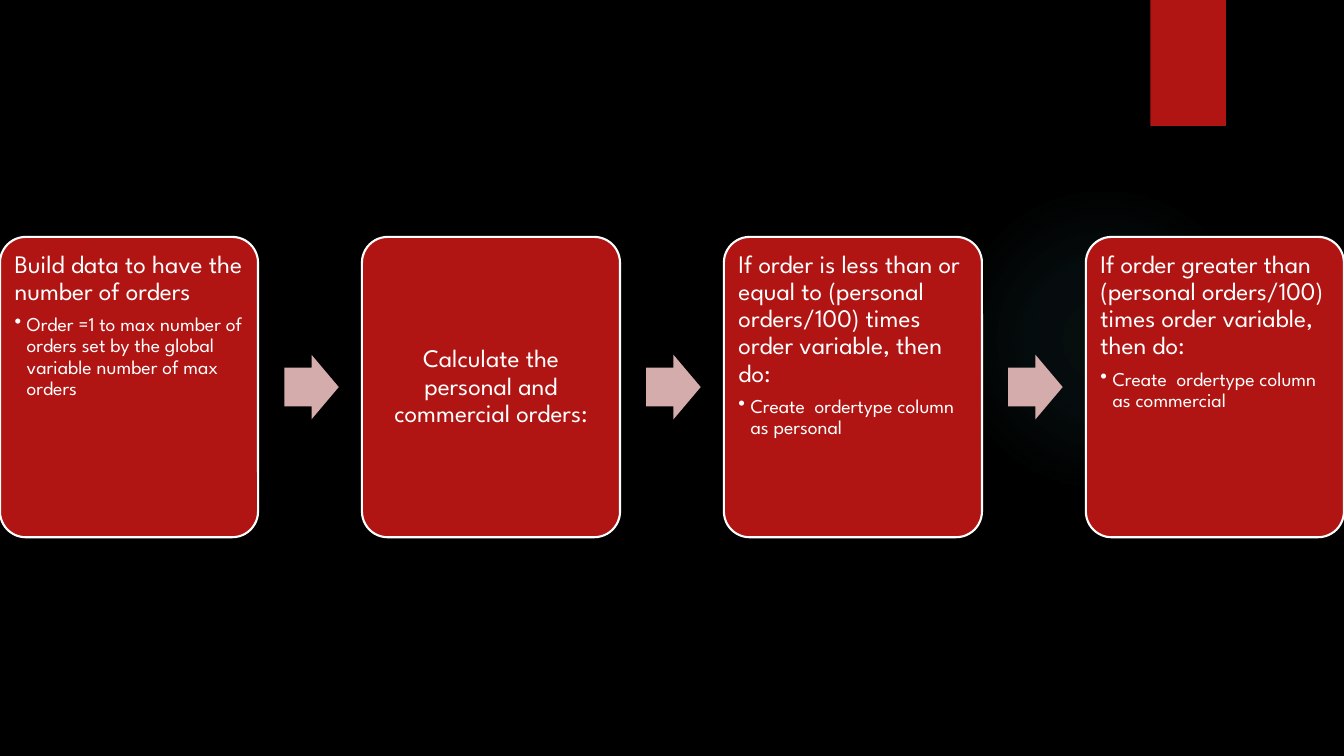
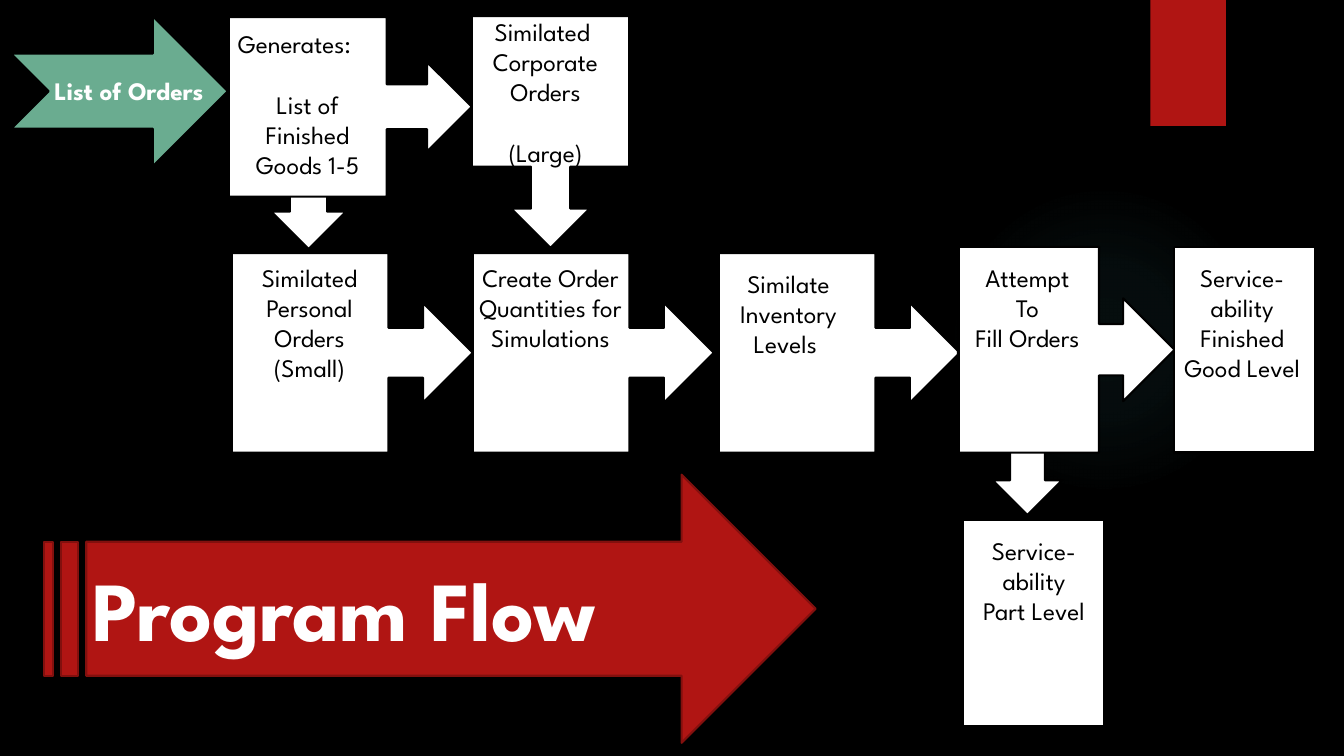
from dataclasses import dataclass

from lxml import etree
from pptx import Presentation
from pptx.dml.color import RGBColor
from pptx.enum import shapes, text
from pptx.oxml import parse_xml
from pptx.oxml.ns import nsdecls
from pptx.util import Inches, Pt

FONT = "League Spartan"
COLORS = {
    "black": "000000",
    "white": "FFFFFF",
    "red": "B01513",
    "dark_red": "82100E",
    "pink": "D4ACAB",
    "green": "6AAC90",
    "glow": "50B9C1",
}
KIND = shapes.MSO_SHAPE
LEFT, CENTER = text.PP_ALIGN.LEFT, text.PP_ALIGN.CENTER
BLANK_LINE = 21.8


@dataclass
class Box:
    x: float
    y: float
    w: float
    h: float


@dataclass
class Block:
    box: Box
    kind: int = KIND.RIGHT_ARROW_CALLOUT
    fill: str = "white"
    line: str | None = "black"
    rotation: float = 0


@dataclass
class Line:
    words: str
    align: int = CENTER
    gap: float = 0


@dataclass
class Label:
    box: Box
    lines: list[Line]
    size: float = 18
    color: str = "black"
    bold: bool = False


@dataclass
class Step:
    heading: str
    detail: str = ""


STEPS = [
    Step("Build data to have the number of orders",
         "Order =1 to max number of orders set by the global variable number of max orders"),
    Step("Calculate the personal and commercial orders:"),
    Step("If order is less than or equal to (personal orders/100) times order variable, then do:",
         "Create  ordertype column as personal"),
    Step("If order greater than (personal orders/100) times order variable, then do:",
         "Create  ordertype column as commercial"),
]
STEP_W, STEP_H, STEP_TOP, STEP_PITCH = 2.56, 2.98, 2.35, 3.59
ARROW_W, ARROW_H, ARROW_OFFSET = 0.54, 0.64, 2.82

BLOCKS = [
    Block(Box(0.44, 4.71, 7.65, 2.66), KIND.STRIPED_RIGHT_ARROW, "red", "dark_red"),
    Block(Box(2.27, 0.99, 1.58, 1.48), KIND.DOWN_ARROW_CALLOUT),
    Block(Box(0.11, 0.16, 2.15, 1.49), KIND.NOTCHED_RIGHT_ARROW, "green"),
    Block(Box(2.27, 0.17, 2.41, 1.78)),
    Block(Box(4.31, 0.53, 2.3, 1.56), rotation=90),
    *[Block(Box(x, 2.51, 2.39, 1.98)) for x in (2.3, 4.69, 7.13)],
    Block(Box(9.04, 3.27, 2.3, 1.38), rotation=90),
    Block(Box(9.51, 2.45, 2.14, 2.04)),
    Block(Box(11.64, 2.45, 1.4, 2.04), KIND.RECTANGLE),
    Block(Box(9.55, 5.16, 1.4, 2.04), KIND.RECTANGLE),
]
LABELS = [
    Label(Box(0.44, 0.7, 1.79, 0.4), [Line("List of Orders", LEFT)],
          color="white", bold=True),
    Label(Box(2.26, 0.23, 1.58, 1.62),
          [Line("Generates:", LEFT), Line("List of Finished Goods 1-5", gap=BLANK_LINE)]),
    Label(Box(4.67, 0.11, 1.48, 1.62),
          [Line("Similated "), Line("Corporate"), Line("Orders"),
           Line("(Large)", gap=BLANK_LINE)]),
    Label(Box(2.25, 2.55, 1.64, 1.31),
          [Line("Similated Personal Orders"), Line("(Small)")]),
    Label(Box(4.64, 2.55, 1.64, 1.62),
          [Line("Create Order Quantities for Simulations")]),
    Label(Box(7, 2.61, 1.64, 1.01), [Line("Similate Inventory Levels ")]),
    Label(Box(9.5, 2.55, 1.38, 1.01),
          [Line("Attempt"), Line("To"), Line("Fill Orders")]),
    Label(Box(11.64, 2.55, 1.36, 1.62),
          [Line("Service-ability"), Line("Finished Good Level")]),
    Label(Box(9.56, 5.26, 1.39, 1.01), [Line("Service-ability"), Line("Part Level")]),
    Label(Box(0.82, 5.48, 9.02, 1.11), [Line("Program Flow", LEFT)],
          size=60, color="white", bold=True),
]


def rgb(name: str) -> RGBColor:
    return RGBColor.from_string(COLORS[name])


def place(box: Box) -> list[int]:
    return [Inches(v) for v in (box.x, box.y, box.w, box.h)]


def add_block(s, block: Block):
    sp = s.shapes.add_shape(block.kind, *place(block.box))
    sp.shadow.inherit = False
    sp.rotation = block.rotation
    sp.fill.solid()
    sp.fill.fore_color.rgb = rgb(block.fill)
    if block.line:
        sp.line.color.rgb = rgb(block.line)
        sp.line.width = Pt(1.5)
    else:
        sp.line.fill.background()
    return sp


def style(p, size: float, color: str, align: int, bold: bool = False) -> None:
    p.alignment = align
    for r in p.runs:
        r.font.name = FONT
        r.font.size = Pt(size)
        r.font.bold = bold
        r.font.color.rgb = rgb(color)


def add_label(s, label: Label) -> None:
    tf = s.shapes.add_textbox(*place(label.box)).text_frame
    tf.word_wrap = True
    tf.text = "\n".join(line.words for line in label.lines)
    for p, line in zip(tf.paragraphs, label.lines):
        p.space_before = Pt(line.gap)
        style(p, label.size, label.color, line.align, label.bold)


def add_bullet(p) -> None:
    pPr = p._p.get_or_add_pPr()
    pPr.set("marL", str(Inches(0.12)))
    pPr.set("indent", str(-Inches(0.12)))
    pPr.append(parse_xml(f'<a:buChar {nsdecls("a")} char="•"/>'))


def add_step(s, step: Step, x: float) -> None:
    sp = add_block(s, Block(Box(x, STEP_TOP, STEP_W, STEP_H),
                            KIND.ROUNDED_RECTANGLE, "red", "white"))
    sp.adjustments[0] = 0.1
    tf = sp.text_frame
    tf.word_wrap = True
    tf.margin_left = tf.margin_right = tf.margin_top = tf.margin_bottom = Inches(0.07)
    tf.vertical_anchor = text.MSO_ANCHOR.TOP if step.detail else text.MSO_ANCHOR.MIDDLE
    tf.text = step.heading
    p = tf.paragraphs[0]
    p.line_spacing = 0.9
    p.space_after = Pt(6.3)
    style(p, 18, "white", LEFT if step.detail else CENTER)
    if step.detail:
        p = tf.add_paragraph()
        p.text = step.detail
        p.line_spacing = 0.9
        p.space_after = Pt(2.1)
        style(p, 14, "white", LEFT)
        add_bullet(p)


def add_glow(s) -> None:
    sp = add_block(s, Block(Box(9.41, 1.83, 3.08, 3.08), KIND.OVAL, "glow", None))
    stops = "".join(
        f'<a:gs pos="{pos * 1000}"><a:srgbClr val="{COLORS["glow"]}">'
        f'<a:alpha val="{alpha * 1000}"/></a:srgbClr></a:gs>'
        for pos, alpha in ((0, 7), (36, 6), (69, 0))
    )
    grad = etree.fromstring(
        f'<a:gradFill {nsdecls("a")}><a:gsLst>{stops}</a:gsLst><a:path path="circle">'
        '<a:fillToRect l="50000" t="50000" r="50000" b="50000"/></a:path></a:gradFill>'
    )
    spPr = sp._element.spPr
    solid = spPr.find("{*}solidFill")
    spPr.replace(solid, grad)


def new_slide(prs):
    s = prs.slides.add_slide(prs.slide_layouts[6])
    s.background.fill.solid()
    s.background.fill.fore_color.rgb = rgb("black")
    add_glow(s)
    add_block(s, Block(Box(11.41, 0, 0.75, 1.25), KIND.RECTANGLE, "red", None))
    return s


def build_steps(prs) -> None:
    s = new_slide(prs)
    arrow_top = STEP_TOP + (STEP_H - ARROW_H) / 2
    for i, step in enumerate(STEPS):
        x = i * STEP_PITCH
        add_step(s, step, x)
        if i < len(STEPS) - 1:
            sp = add_block(s, Block(Box(x + ARROW_OFFSET, arrow_top, ARROW_W, ARROW_H),
                                    KIND.RIGHT_ARROW, "pink", None))
            sp.adjustments[0] = 0.6


def build_flow(prs) -> None:
    s = new_slide(prs)
    for block in BLOCKS:
        add_block(s, block)
    for label in LABELS:
        add_label(s, label)


def main() -> None:
    prs = Presentation()
    prs.slide_width = Inches(13.33)
    prs.slide_height = Inches(7.5)
    build_steps(prs)
    build_flow(prs)
    prs.save("out.pptx")


if __name__ == "__main__":
    main()
